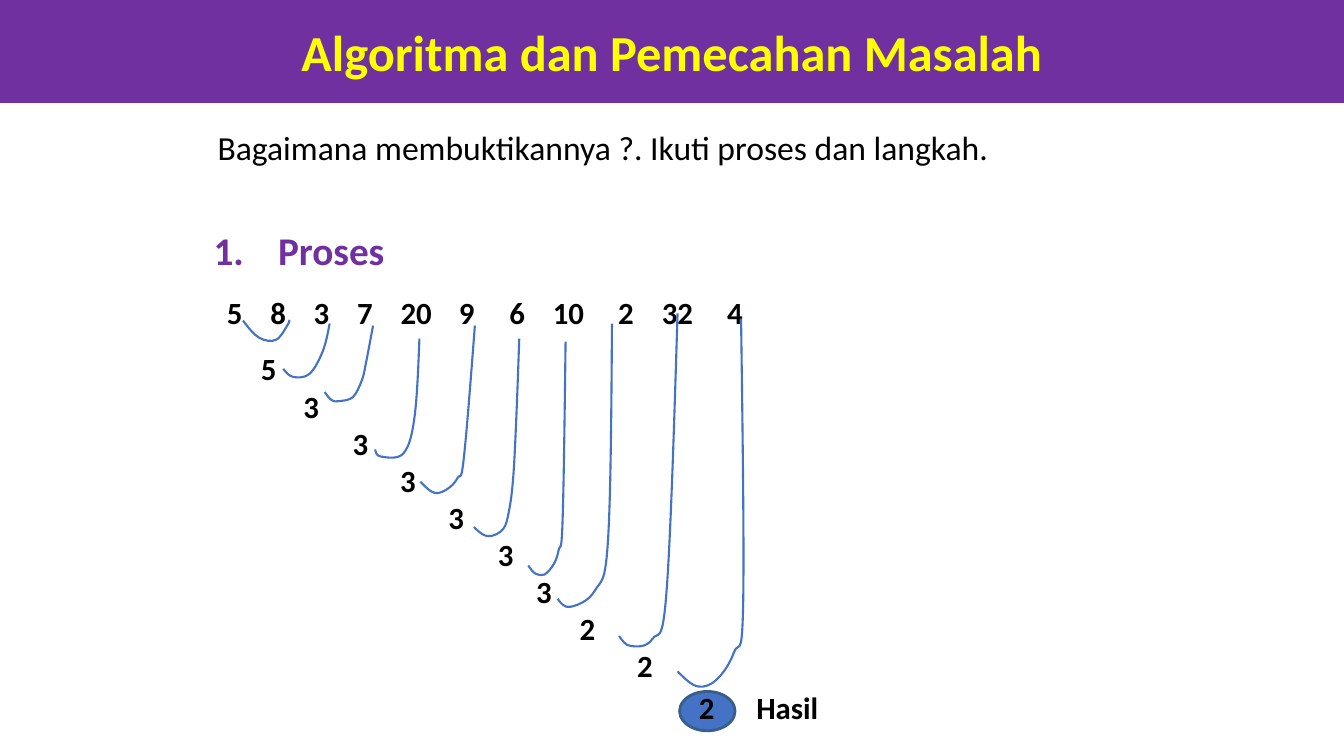
from dataclasses import dataclass

from lxml.etree import SubElement
from pptx import Presentation
from pptx.dml.color import RGBColor
from pptx.enum.shapes import MSO_SHAPE
from pptx.enum.text import MSO_ANCHOR, PP_ALIGN
from pptx.oxml.ns import qn
from pptx.util import Pt

PX = 9144
FONT = "Calibri"
TEXT_LEFT = 212
HALF_DIGIT = 8
PURPLE = RGBColor(0x70, 0x30, 0xA0)
YELLOW = RGBColor(0xFF, 0xFF, 0x00)
BLACK = RGBColor(0x00, 0x00, 0x00)
BLUE = RGBColor(0x44, 0x72, 0xC4)
DARK_BLUE = RGBColor(0x39, 0x5E, 0x8A)

Point = tuple[float, float]


@dataclass(frozen=True)
class Label:
    """A short text centred on a horizontal place."""

    text: str
    x: int


@dataclass(frozen=True)
class Curve:
    """A smooth line through its knots."""

    knots: tuple[tuple[int, int], ...]


NUMBERS = [Label("5", 233), Label("8", 276), Label("3", 319), Label("7", 362),
           Label("20", 413), Label("9", 463), Label("6", 513), Label("10", 564),
           Label("2", 621), Label("32", 672), Label("4", 729)]
MINIMA = [Label("5", 267), Label("3", 309), Label("3", 358), Label("3", 405),
          Label("3", 453), Label("3", 502), Label("3", 540), Label("2", 583),
          Label("2", 640)]
RESULT = [Label("2", 701), Label("Hasil", 781)]

CURVES = [
    Curve(((241, 318), (257, 335), (274, 337), (286, 321), (286, 318))),
    Curve(((281, 366), (291, 374), (307, 371), (320, 349), (327, 321))),
    Curve(((322, 389), (329, 397), (336, 398), (350, 394), (359, 377),
           (363, 360), (370, 323))),
    Curve(((372, 446), (378, 453), (400, 450), (411, 415), (416, 336))),
    Curve(((417, 478), (431, 489), (444, 485), (454, 474), (460, 455), (471, 323))),
    Curve(((470, 523), (484, 532), (499, 525), (505, 506), (509, 474),
           (512, 417), (515, 336))),
    Curve(((524, 561), (531, 569), (540, 570), (549, 560), (554, 546),
           (558, 517), (561, 339))),
    Curve(((553, 594), (566, 602), (590, 586), (603, 537), (607, 321))),
    Curve(((614, 631), (626, 641), (647, 634), (661, 588), (672, 311))),
    Curve(((672, 666), (692, 681), (711, 674), (728, 647), (737, 602), (735, 316))),
]


def write(para, text: str, *, size: int = 22, color: RGBColor = BLACK,
          bold: bool = True, align: PP_ALIGN = PP_ALIGN.LEFT,
          before: float = 0, spacing=None) -> None:
    """Fill a paragraph with one formatted run."""
    para.alignment = align
    para.space_before = Pt(before)
    para.line_spacing = spacing
    span = para.add_run()
    span.text = text
    span.font.name = FONT
    span.font.size = Pt(size)
    span.font.bold = bold
    span.font.color.rgb = color


def add_box(page, left: int, top: int, width: int, height: int, margin_top: int):
    """Add a wrapping text box placed in px and return its frame."""
    box = page.shapes.add_textbox(left * PX, top * PX, width * PX, height * PX)
    frame = box.text_frame
    frame.word_wrap = True
    frame.margin_left = frame.margin_right = 10 * PX
    frame.margin_top = margin_top * PX
    return frame


def set_tabs(para, stops: list[int], align: str) -> None:
    """Give a paragraph tab stops in px."""
    tabs = SubElement(para._p.get_or_add_pPr(), qn("a:tabLst"))
    for stop in stops:
        SubElement(tabs, qn("a:tab"), pos=str(stop * PX), algn=align)


def write_row(para, labels: list[Label], **style) -> None:
    """Write labels on one line, each centred on its tab stop."""
    write(para, "".join("\t" + label.text for label in labels), **style)
    set_tabs(para, [label.x - TEXT_LEFT for label in labels], "ctr")


def draw_process(page) -> None:
    """Write the heading, the numbers and the stepwise minima."""
    frame = add_box(page, 202, 180, 930, 463, 45)
    heading = frame.paragraphs[0]
    write(heading, "1.\tProses", size=28, color=PURPLE)
    set_tabs(heading, [64], "l")
    write_row(frame.add_paragraph(), NUMBERS, before=14.2)
    for row, label in enumerate(MINIMA):
        para = frame.add_paragraph()
        write(para, label.text, before=0 if row else 13.8, spacing=Pt(26.5))
        indent = label.x - HALF_DIGIT - TEXT_LEFT
        para._p.get_or_add_pPr().set("marL", str(indent * PX))
    write_row(frame.add_paragraph(), RESULT, before=3.4, spacing=Pt(26.5))


def shift(point: Point, start: Point, end: Point) -> Point:
    """Move a point by a sixth of the way from start to end."""
    return (point[0] + (end[0] - start[0]) / 6, point[1] + (end[1] - start[1]) / 6)


def middle(first: Point, second: Point) -> Point:
    """Return the midpoint of two points."""
    return ((first[0] + second[0]) / 2, (first[1] + second[1]) / 2)


def bezier_controls(knots: tuple[tuple[int, int], ...], index: int) -> tuple[Point, Point]:
    """Return the two control points of one spline segment."""
    start, end = knots[index], knots[index + 1]
    is_first, is_last = index == 0, index == len(knots) - 2
    leave = start if is_first else shift(start, knots[index - 1], end)
    arrive = end if is_last else shift(end, knots[index + 2], start)
    if is_first:
        leave = middle(start, arrive)
    if is_last:
        arrive = middle(leave, end)
    return leave, arrive


def draw_curve(page, curve: Curve) -> None:
    """Draw one smooth outline without a fill."""
    knots = curve.knots
    builder = page.shapes.build_freeform(*knots[0], scale=PX)
    builder.add_line_segments(knots[1:], close=False)
    shape = builder.convert_to_shape()
    shape.shadow.inherit = False
    shape.fill.background()
    shape.line.color.rgb = BLUE
    shape.line.width = Pt(1.5)
    left, top = min(x for x, _ in knots), min(y for _, y in knots)
    outline = next(shape._element.iter(qn("a:path")))
    for name in ("w", "h"):
        outline.set(name, str(int(outline.get(name)) * PX))
    origin = outline.find(qn("a:moveTo")).find(qn("a:pt"))
    for name in ("x", "y"):
        origin.set(name, str(int(origin.get(name)) * PX))
    for index, line in enumerate(outline.findall(qn("a:lnTo"))):
        outline.remove(line)
        segment = SubElement(outline, qn("a:cubicBezTo"))
        for x, y in (*bezier_controls(knots, index), knots[index + 1]):
            SubElement(segment, qn("a:pt"), x=str(round((x - left) * PX)),
                       y=str(round((y - top) * PX)))


def draw_ellipse(page) -> None:
    """Draw the ellipse behind the final minimum."""
    ellipse = page.shapes.add_shape(MSO_SHAPE.OVAL, 674 * PX, 686 * PX, 55 * PX, 39 * PX)
    ellipse.shadow.inherit = False
    ellipse.fill.solid()
    ellipse.fill.fore_color.rgb = BLUE
    ellipse.line.color.rgb = DARK_BLUE
    ellipse.line.width = Pt(2)


def main() -> None:
    """Build and save the slide."""
    deck = Presentation()
    deck.slide_width, deck.slide_height = 1333 * PX, 750 * PX
    page = deck.slides.add_slide(deck.slide_layouts[5])

    title = page.shapes.title
    title.left, title.top, title.width, title.height = 0, 0, 1333 * PX, 102 * PX
    title.fill.solid()
    title.fill.fore_color.rgb = PURPLE
    title.text_frame.vertical_anchor = MSO_ANCHOR.MIDDLE
    write(title.text_frame.paragraphs[0], "Algoritma dan Pemecahan Masalah",
          size=36, color=YELLOW, align=PP_ALIGN.CENTER)

    draw_ellipse(page)
    question = add_box(page, 206, 125, 930, 478, 5)
    write(question.paragraphs[0], "Bagaimana membuktikannya ?. Ikuti proses dan langkah.",
          size=24, bold=False, align=PP_ALIGN.JUSTIFY, spacing=0.9)
    draw_process(page)
    for curve in CURVES:
        draw_curve(page, curve)
    deck.save("out.pptx")


if __name__ == "__main__":
    main()
